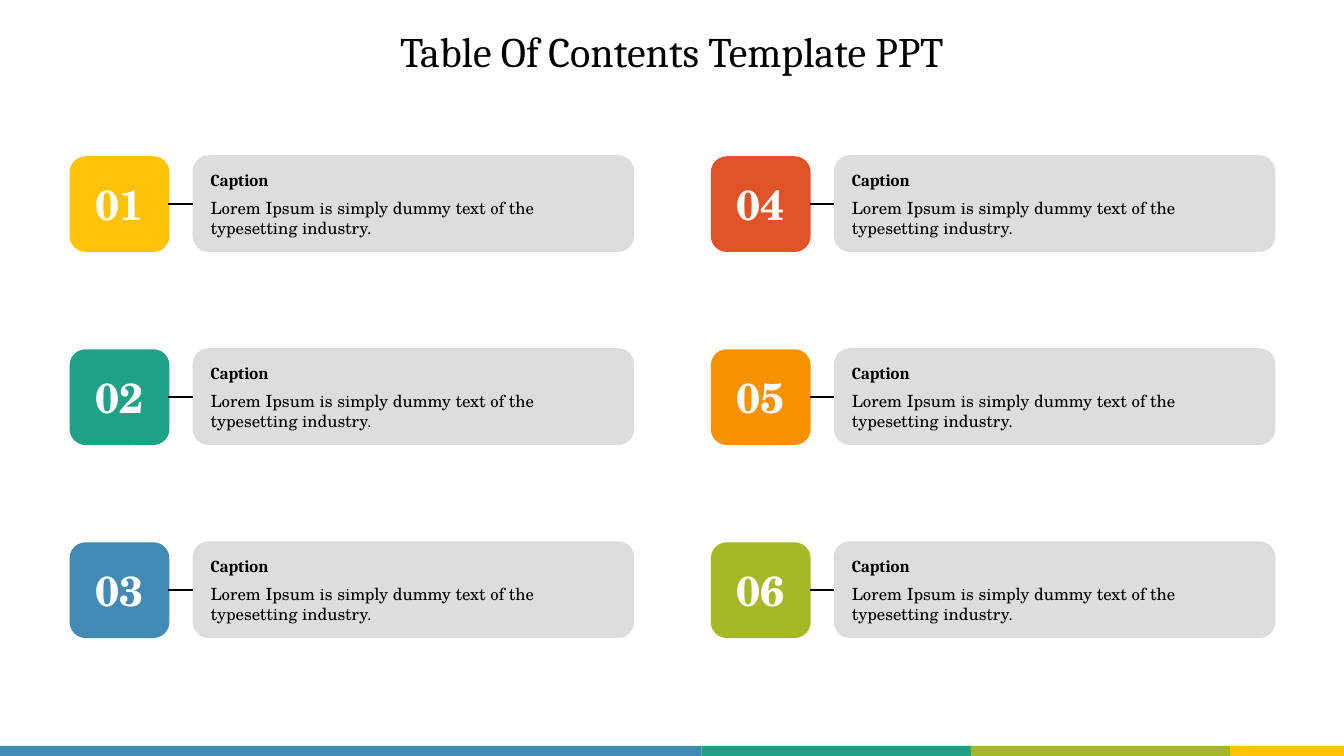
from pptx import Presentation
from pptx import util as u
from pptx.dml.color import RGBColor
from pptx.enum import shapes, text
from pptx.oxml.ns import qn
from lxml import etree

THEME = {
    "yellow": "FEC306", "teal": "1EA185", "blue": "418AB3",
    "red": "DF5327", "orange": "F69200", "green": "A6B727",
    "panel": "DDDDDD", "ink": "000000", "white": "FFFFFF",
    "head": "Cambria", "body": "TeX Gyre Schola",
    "title_size": 30, "number_size": 30, "text_size": 12,
}
W, H = 13.33, 7.5
LEFT, TOP = 0.69, 1.54          # first entry
COL_STEP, ROW_STEP = 6.36, 1.915
ROWS = 3

prs = Presentation()
prs.slide_width, prs.slide_height = u.Inches(W), u.Inches(H)
s = prs.slides.add_slide(prs.slide_layouts[6])


def block(kind, x, y, w, h, fill):
    sp = s.shapes.add_shape(kind, *map(u.Inches, (x, y, w, h)))
    sp.shadow.inherit = False
    sp.fill.solid()
    sp.fill.fore_color.rgb = RGBColor.from_string(THEME[fill])
    sp.line.fill.background()
    return sp


def write(p, words, font="body", size="text_size", color="ink", bold=False,
          align=text.PP_ALIGN.LEFT, before=0, spacing=1.0):
    p.alignment, p.space_before, p.line_spacing = align, u.Pt(before), spacing
    r = p.add_run()
    r.text = words
    r.font.name, r.font.size, r.font.bold = THEME[font], u.Pt(THEME[size]), bold
    r.font.color.rgb = RGBColor.from_string(THEME[color])


# Contents entries, filled down each column
for i, color in enumerate(("yellow", "teal", "blue", "red", "orange", "green")):
    col, row = divmod(i, ROWS)
    x, y = LEFT + col * COL_STEP, TOP + row * ROW_STEP

    # Panel and number tile
    block(shapes.MSO_SHAPE.ROUNDED_RECTANGLE, x + 1.22, y, 4.38, 0.96, "panel")
    sp = block(shapes.MSO_SHAPE.ROUNDED_RECTANGLE, x, y + 0.01, 0.99, 0.95, color)
    tf = sp.text_frame
    tf.vertical_anchor = text.MSO_ANCHOR.MIDDLE
    write(tf.paragraphs[0], f"{i + 1:02}", size="number_size", color="white",
          bold=True, align=text.PP_ALIGN.CENTER)

    # Link between tile and panel
    link = s.shapes.add_connector(
        shapes.MSO_CONNECTOR.STRAIGHT,
        *map(u.Inches, (x + 1.22, y + 0.485, x + 0.98, y + 0.485)))
    link.line.color.rgb = RGBColor.from_string(THEME["ink"])
    link.line.width = u.Pt(1.5)
    etree.SubElement(link._element.spPr, qn("a:effectLst"))

    # Caption and description
    tf = s.shapes.add_textbox(
        *map(u.Inches, (x + 1.3, y + 0.09, 4.13, 0.79))).text_frame
    tf.word_wrap = True
    tf.auto_size = text.MSO_AUTO_SIZE.SHAPE_TO_FIT_TEXT
    write(tf.paragraphs[0], "Caption", font="head", bold=True)
    write(tf.add_paragraph(),
          "Lorem Ipsum is simply dummy text of the typesetting industry.", before=6)

# Footer stripe
for x, w, color in ((0, 6.96, "blue"), (6.96, 2.68, "teal"),
                    (9.63, 2.68, "green"), (12.2, 1.13, "yellow")):
    block(shapes.MSO_SHAPE.RECTANGLE, x, H - 0.1, w, 0.1, color)

# Title
tf = s.shapes.add_textbox(*map(u.Inches, (0, 0.26, W, 0.56))).text_frame
tf.word_wrap = True
tf.auto_size = text.MSO_AUTO_SIZE.SHAPE_TO_FIT_TEXT
write(tf.paragraphs[0], "Table Of Contents Template PPT", font="head",
      size="title_size", align=text.PP_ALIGN.CENTER, spacing=0.9)

prs.save("out.pptx")
